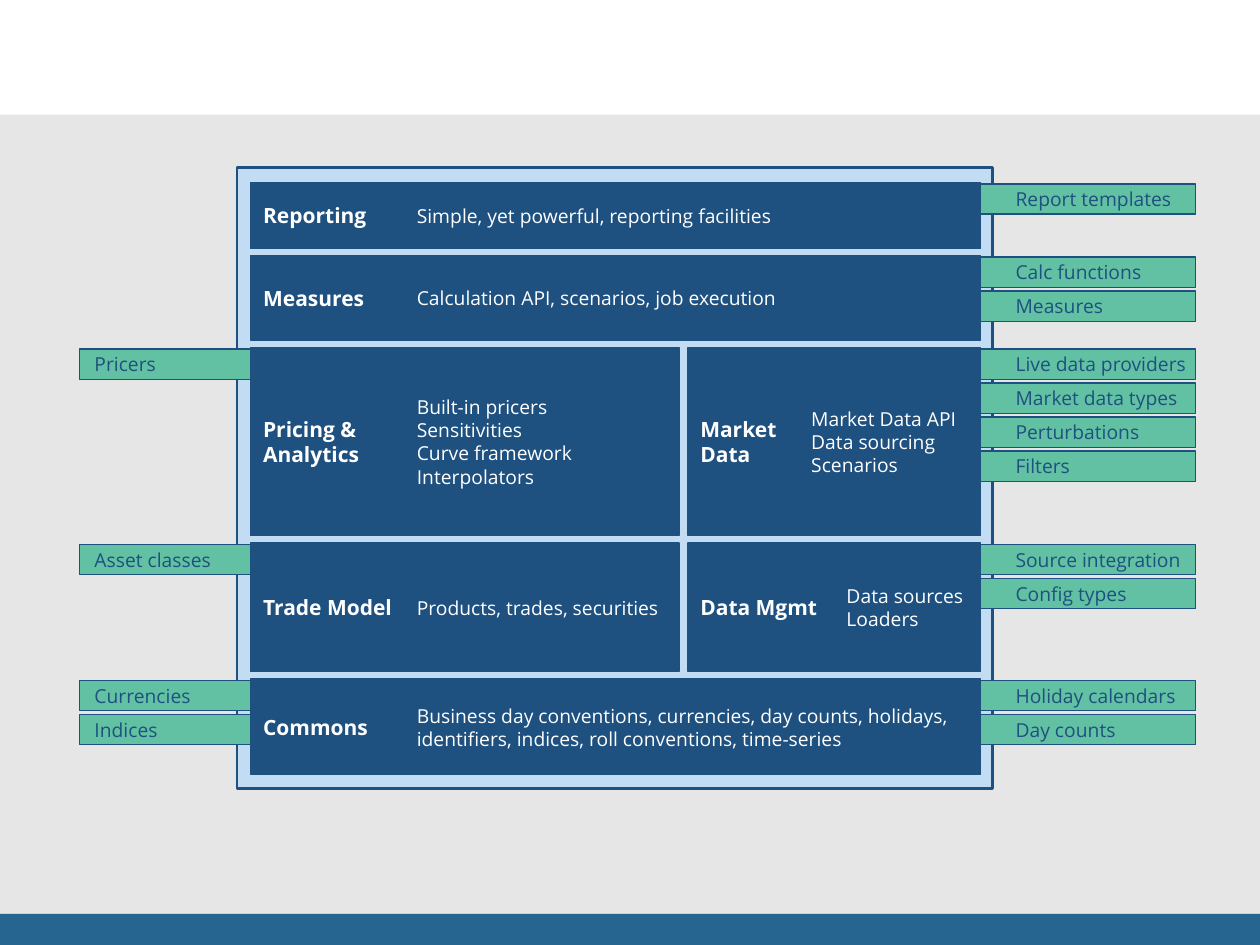
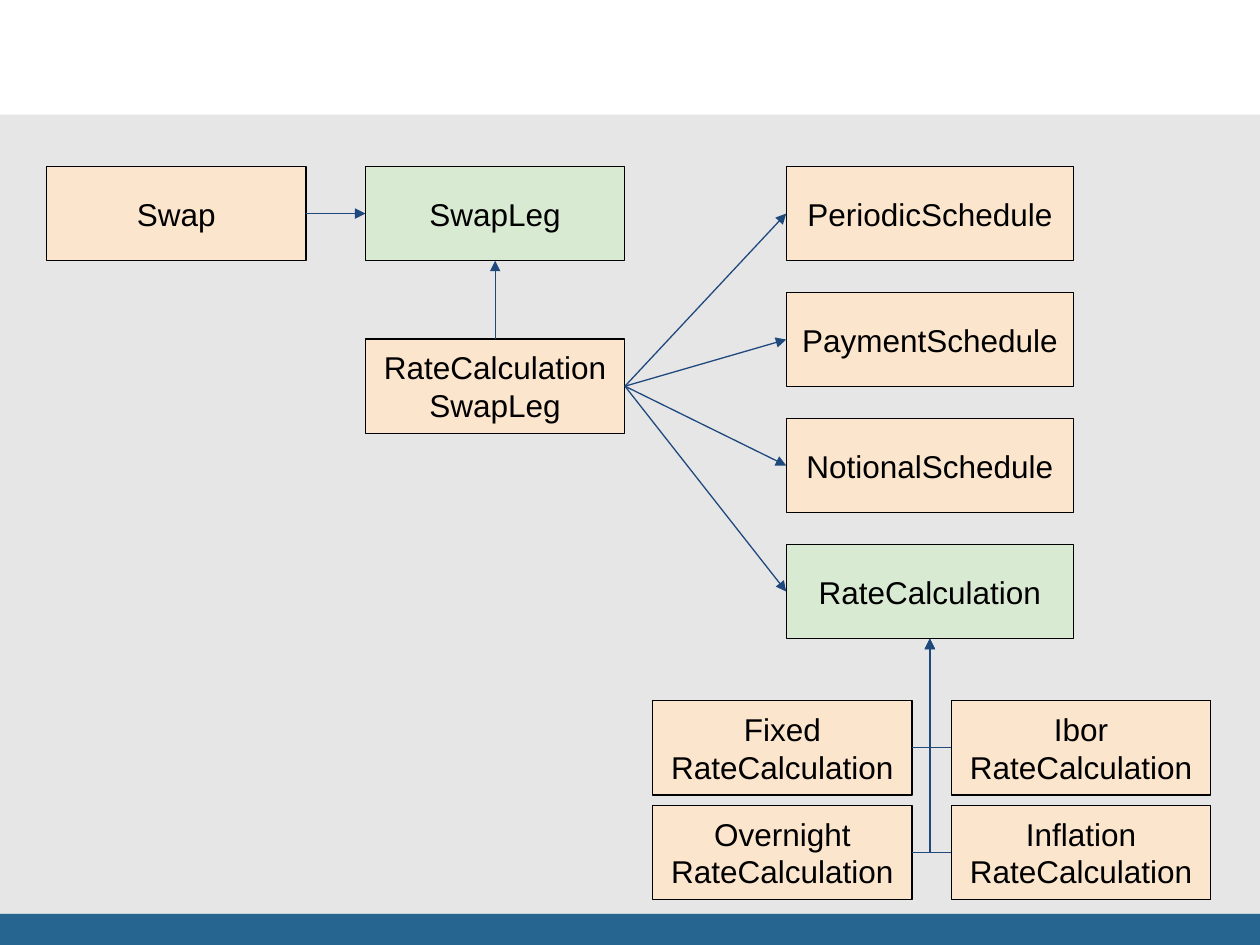
import collections

import lxml.etree
import pptx
import pptx.dml.color
import pptx.enum.shapes
import pptx.enum.text
import pptx.oxml.ns
import pptx.util

Inches = pptx.util.Inches
Box = collections.namedtuple("Box", "left top width height")
TextStyle = collections.namedtuple("TextStyle", "font size color bold align insets")

COLORS = {
    "footer": "25658F",
    "backdrop": "E6E6E6",
    "frame": "C2DDF3",
    "navy": "1E5080",
    "tag": "62C1A3",
    "white": "FFFFFF",
    "black": "000000",
    "interface": "D9EAD3",
    "bean": "FCE5CD",
    "arrow": "1F497D",
}

LEFT = pptx.enum.text.PP_ALIGN.LEFT
CENTER = pptx.enum.text.PP_ALIGN.CENTER
BLOCK_INSETS = (0.1, 0.05, 0.1, 0.05)
HEADING = TextStyle("Open Sans", 12, "white", True, LEFT, BLOCK_INSETS)
DETAIL = TextStyle("Open Sans", 11, "white", False, LEFT, BLOCK_INSETS)
LEFT_TAG = TextStyle("Open Sans", 11, "navy", False, LEFT, (0.12, 0.05, 0.04, 0.05))
RIGHT_TAG = LEFT_TAG._replace(insets=(0.28, 0.05, 0.04, 0.05))
CLASS_NAME = TextStyle("Arial", 18, "black", False, CENTER, (0.1, 0.1, 0.1, 0.1))

Block = collections.namedtuple("Block", "heading details detail_offset")
Layer = collections.namedtuple("Layer", "height blocks left_tags right_tags")
LAYERS = [
    Layer(0.52, [Block(["Reporting"], ["Simple, yet powerful, reporting facilities"], 1.22)],
          [], ["Report templates"]),
    Layer(0.67, [Block(["Measures"], ["Calculation API, scenarios, job execution"], 1.22)],
          [], ["Calc functions", "Measures"]),
    Layer(1.49, [Block(["Pricing &", "Analytics"],
                       ["Built-in pricers", "Sensitivities", "Curve framework", "Interpolators"], 1.22),
                 Block(["Market", "Data"], ["Market Data API", "Data sourcing", "Scenarios"], 0.88)],
          ["Pricers"],
          ["Live data providers", "Market data types", "Perturbations", "Filters"]),
    Layer(1.02, [Block(["Trade Model"], ["Products, trades, securities"], 1.22),
                 Block(["Data Mgmt"], ["Data sources", "Loaders"], 1.16)],
          ["Asset classes"], ["Source integration", "Config types"]),
    Layer(0.76, [Block(["Commons"],
                       ["Business day conventions, currencies, day counts, holidays, "
                        "identifiers, indices, roll conventions, time-series"], 1.22)],
          ["Currencies", "Indices"], ["Holiday calendars", "Day counts"]),
]


def rgb(name):
    return pptx.dml.color.RGBColor.from_string(COLORS[name])


def emu(box):
    return [Inches(length) for length in box]


def write_lines(shape, lines, style):
    """Fill a shape with one paragraph per line, centred vertically."""
    frame = shape.text_frame
    frame.word_wrap = True
    frame.vertical_anchor = pptx.enum.text.MSO_ANCHOR.MIDDLE
    (frame.margin_left, frame.margin_top,
     frame.margin_right, frame.margin_bottom) = emu(style.insets)
    for index, line in enumerate(lines):
        paragraph = frame.add_paragraph() if index else frame.paragraphs[0]
        paragraph.alignment = style.align
        run = paragraph.add_run()
        run.text = line
        run.font.name = style.font
        run.font.size = pptx.util.Pt(style.size)
        run.font.bold = style.bold
        run.font.color.rgb = rgb(style.color)


def add_rectangle(slide, box, fill, outline=None, weight=0.75):
    rectangle = slide.shapes.add_shape(pptx.enum.shapes.MSO_SHAPE.RECTANGLE, *emu(box))
    rectangle.shadow.inherit = False
    rectangle.fill.solid()
    rectangle.fill.fore_color.rgb = rgb(fill)
    if outline:
        rectangle.line.color.rgb = rgb(outline)
        rectangle.line.width = pptx.util.Pt(weight)
    else:
        rectangle.line.fill.background()
    return rectangle


def add_master_bands(presentation, slide):
    """Draw the backdrop and footer, then move them behind everything on the master."""
    master_tree = presentation.slide_master.element.cSld.spTree
    for box, fill in ((Box(0, 0.91, 10, 6.34), "backdrop"), (Box(0, 7.25, 10, 0.25), "footer")):
        master_tree.insert(2, add_rectangle(slide, box, fill).element)


def add_block(slide, box, block):
    heading = add_rectangle(slide, box, "navy", "navy")
    write_lines(heading, block.heading, HEADING)
    detail_box = Box(box.left + block.detail_offset, box.top,
                     box.width - block.detail_offset, box.height)
    write_lines(slide.shapes.add_textbox(*emu(detail_box)), block.details, DETAIL)


def add_tags(slide, left, top, width, labels, style):
    pitch, height = 0.27, 0.24
    for index, label in enumerate(labels):
        tag = add_rectangle(slide, Box(left, top + index * pitch, width, height), "tag", "navy")
        write_lines(tag, [label], style)


def draw_architecture(slide, box):
    margin, layer_gap, column_gap = 0.11, 0.06, 0.07
    main_width, left_tag_width, right_tag_width = 3.4, 1.36, 1.71
    add_rectangle(slide, box, "frame", "navy", 1.5)
    left = box.left + margin
    right = box.left + box.width - 0.1
    top = box.top + 0.12
    for layer in LAYERS:
        if len(layer.blocks) == 1:
            spans = [(left, right)]
        else:
            main_right = left + main_width
            spans = [(left, main_right), (main_right + column_gap, right)]
        for block, (start, end) in zip(layer.blocks, spans):
            add_block(slide, Box(start, top, end - start, layer.height), block)
        tag_top = top + 0.01
        add_tags(slide, left - left_tag_width, tag_top, left_tag_width, layer.left_tags, LEFT_TAG)
        add_tags(slide, right, tag_top, right_tag_width, layer.right_tags, RIGHT_TAG)
        top += layer.height + layer_gap


def add_arrow(slide, source, source_side, target, target_side, bent=False):
    """Join two boxes; sides are 0 top, 1 left, 2 bottom, 3 right."""
    kinds = pptx.enum.shapes.MSO_CONNECTOR
    arrow = slide.shapes.add_connector(kinds.ELBOW if bent else kinds.STRAIGHT, 0, 0, 0, 0)
    arrow.begin_connect(source, source_side)
    arrow.end_connect(target, target_side)
    arrow.line.color.rgb = rgb("arrow")
    arrow.line.width = pptx.util.Pt(0.75)
    qn = pptx.oxml.ns.qn
    properties = arrow.element.spPr
    if bent:
        properties.find(qn("a:prstGeom")).set("prst", "bentConnector2")
    lxml.etree.SubElement(properties.find(qn("a:ln")), qn("a:tailEnd"), type="triangle")
    lxml.etree.SubElement(properties, qn("a:effectLst"))


def draw_class_diagram(slide, box):
    class_width, part_width, height = 2.06, 2.28, 0.75
    leg_left, part_left, subtype_left = 2.53, 5.87, 4.81

    def add_class(left, top, lines, fill="bean", width=class_width):
        node = add_rectangle(slide, Box(box.left + left, box.top + top, width, height),
                             fill, "black")
        write_lines(node, lines, CLASS_NAME)
        return node

    swap = add_class(0, 0, ["Swap"])
    swap_leg = add_class(leg_left, 0, ["SwapLeg"], "interface")
    rate_leg = add_class(leg_left, 1.37, ["RateCalculation", "SwapLeg"])
    add_arrow(slide, swap, 3, swap_leg, 1)
    add_arrow(slide, rate_leg, 0, swap_leg, 2)

    parts = ["PeriodicSchedule", "PaymentSchedule", "NotionalSchedule", "RateCalculation"]
    for index, name in enumerate(parts):
        fill = "interface" if name == "RateCalculation" else "bean"
        part = add_class(part_left, index, [name], fill, part_width)
        add_arrow(slide, rate_leg, 3, part, 1)
    rate_calculation = part

    for index, name in enumerate(["Fixed", "Ibor", "Overnight", "Inflation"]):
        row, column = divmod(index, 2)
        subtype = add_class(subtype_left + column * 2.37, 4.24 + row * 0.83,
                            [name, "RateCalculation"])
        add_arrow(slide, subtype, 1 if column else 3, rate_calculation, 2, bent=True)


def main():
    presentation = pptx.Presentation()
    presentation.slide_width = Inches(10)
    presentation.slide_height = Inches(7.5)
    blank = presentation.slide_layouts[6]
    architecture = presentation.slides.add_slide(blank)
    add_master_bands(presentation, architecture)
    draw_architecture(architecture, Box(1.88, 1.33, 6, 4.93))
    draw_class_diagram(presentation.slides.add_slide(blank), Box(0.37, 1.32, 9.24, 5.82))
    presentation.save("out.pptx")


if __name__ == "__main__":
    main()
